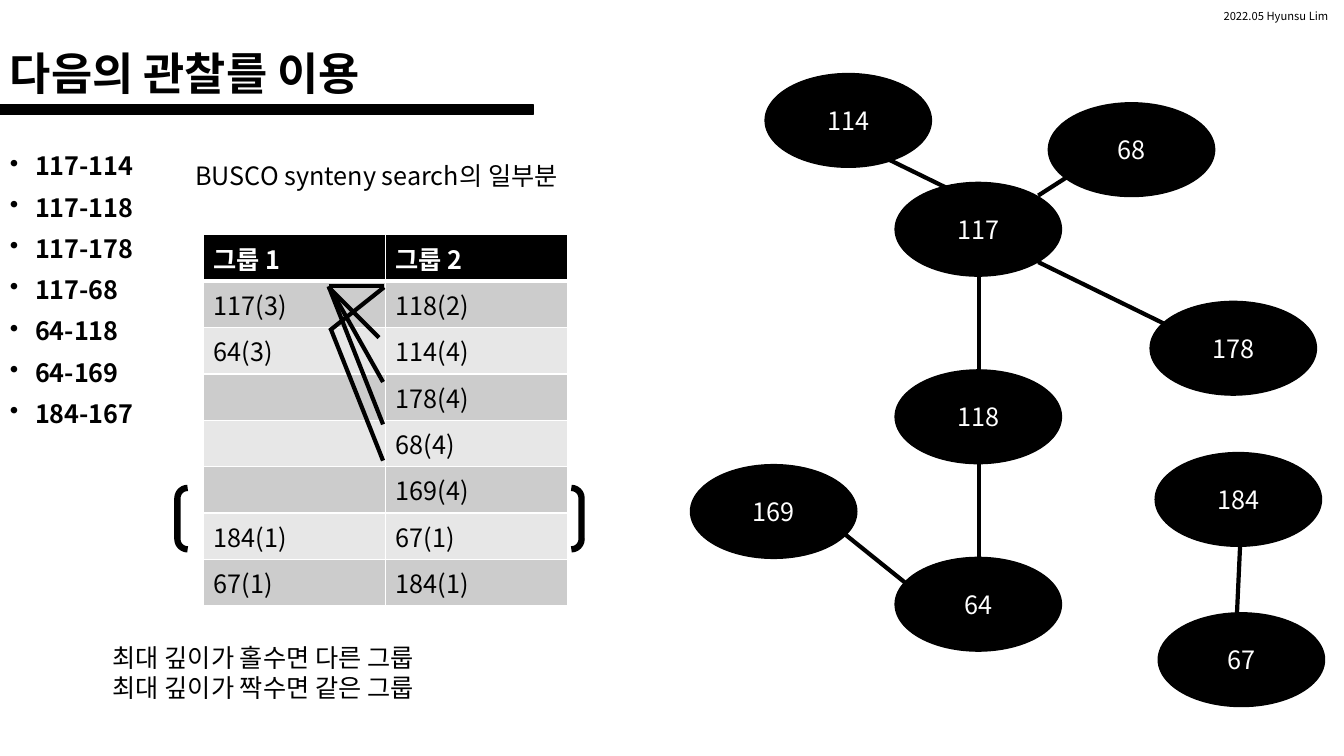
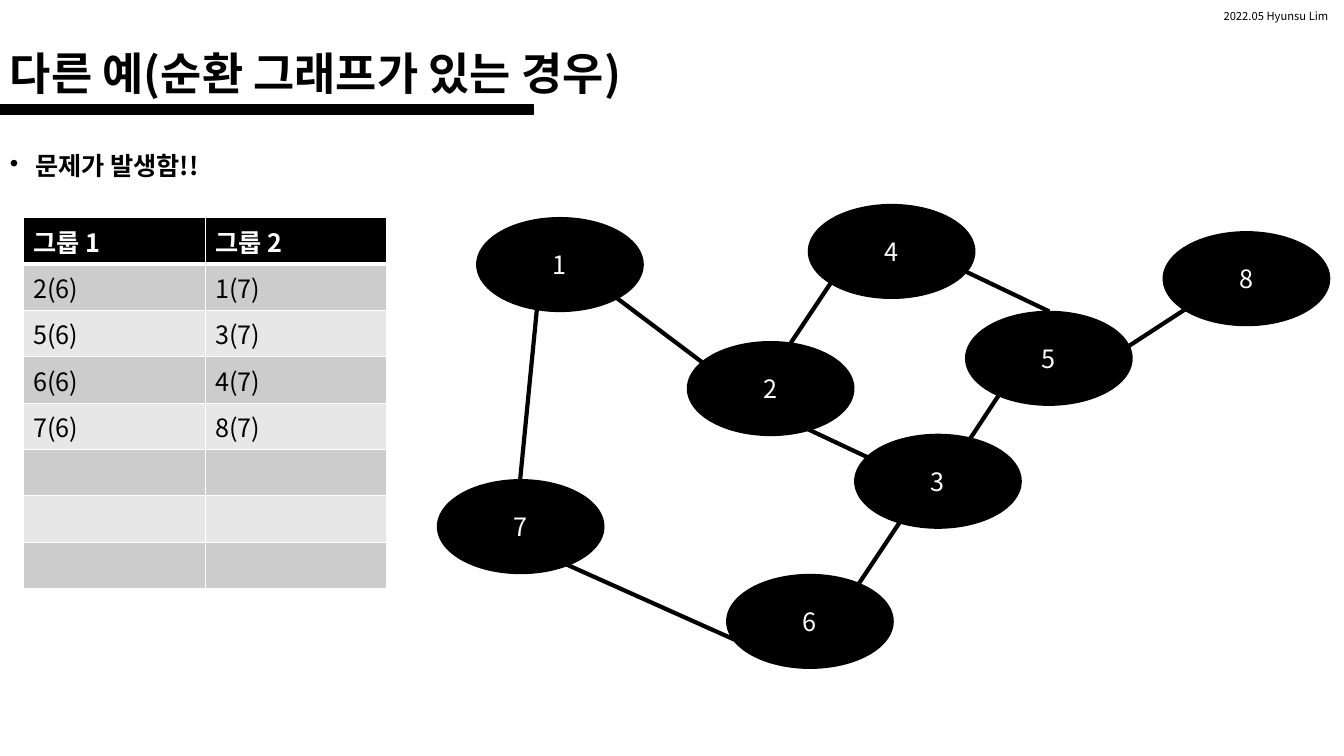
from lxml.etree import SubElement
from pptx import Presentation
from pptx.dml.color import RGBColor
from pptx.enum.shapes import MSO_CONNECTOR, MSO_SHAPE
from pptx.enum.text import MSO_ANCHOR, MSO_AUTO_SIZE, PP_ALIGN
from pptx.oxml import parse_xml
from pptx.oxml.ns import nsdecls, qn
from pptx.util import Inches, Pt

FONT = "Noto Sans CJK KR"
COLORS = {
    "ink": "000000",
    "paper": "FFFFFF",
    "odd_row": "CCCCCC",
    "even_row": "E7E7E7",
}

# The slide is a grid of square cells, a tenth of an inch each
COLS, ROWS = 133.33, 75
NODE_W, NODE_H = 16.5, 9.3
TABLE_COL, TABLE_ROW = 18.05, 4.6


def grid(*cells):
    return [Inches(n / 10) for n in cells]


def color(name):
    return RGBColor.from_string(COLORS[name])


def style(p, size=18, ink="ink", bold=False):
    p.font.name = FONT
    p.font.size = Pt(size)
    p.font.bold = bold
    p.font.color.rgb = color(ink)
    # Korean letters follow the East Asian typeface
    SubElement(p._p.find(".//" + qn("a:defRPr")), qn("a:ea"), typeface=FONT)


def add_text(slide, box, lines, size=18, bold=False, anchor=MSO_ANCHOR.TOP,
             grow=False, spacing=None):
    tf = slide.shapes.add_textbox(*grid(*box)).text_frame
    tf.word_wrap = True
    tf.vertical_anchor = anchor
    if grow:
        tf.auto_size = MSO_AUTO_SIZE.SHAPE_TO_FIT_TEXT
    tf.text = "\n".join(lines)
    for p in tf.paragraphs:
        p.line_spacing = spacing
        style(p, size, bold=bold)
    return tf


def add_bullets(slide, lines):
    tf = add_text(slide, (0, 14.8, COLS, 52.7), lines, bold=True, spacing=0.9)
    for p in tf.paragraphs:
        p.space_before = Pt(10)
        pPr = p._p.get_or_add_pPr()
        pPr.set("marL", str(Inches(0.25)))
        pPr.set("indent", str(-Inches(0.25)))
        bullet = parse_xml(f'<a:buChar {nsdecls("a")} char="•"/>')
        pPr.find(qn("a:defRPr")).addprevious(bullet)


def add_solid(slide, kind, box):
    sp = slide.shapes.add_shape(kind, *grid(*box))
    sp.shadow.inherit = False
    sp.fill.solid()
    sp.fill.fore_color.rgb = color("ink")
    sp.line.color.rgb = color("ink")
    sp.line.width = Pt(1)
    return sp


def add_node(slide, label, left, top):
    sp = add_solid(slide, MSO_SHAPE.OVAL, (left, top, NODE_W, NODE_H))
    tf = sp.text_frame
    tf.vertical_anchor = MSO_ANCHOR.MIDDLE
    tf.text = label
    p = tf.paragraphs[0]
    p.alignment = PP_ALIGN.CENTER
    style(p, ink="paper")


def add_line(slide, x1, y1, x2, y2):
    line = slide.shapes.add_connector(MSO_CONNECTOR.STRAIGHT, *grid(x1, y1, x2, y2))
    line.line.color.rgb = color("ink")
    line.line.width = Pt(3)
    SubElement(line._element.spPr, qn("a:effectLst"))


def add_graph(slide, nodes, edges):
    for edge in edges:
        add_line(slide, *edge)
    for label, place in nodes.items():
        add_node(slide, label, *place)


def add_bracket(slide, box):
    sp = slide.shapes.add_shape(MSO_SHAPE.DOUBLE_BRACKET, *grid(*box))
    sp.shadow.inherit = False
    sp.fill.background()
    sp.line.color.rgb = color("ink")
    sp.line.width = Pt(4.5)


def set_borders(cell, **widths):
    """Draw white borders; the widths are in points, by side (L, R, T, B)."""
    tcPr = cell._tc.get_or_add_tcPr()
    for i, (side, width) in enumerate(widths.items()):
        tcPr.insert(i, parse_xml(
            f'<a:ln{side} {nsdecls("a")} w="{Pt(width)}"><a:solidFill>'
            f'<a:srgbClr val="{COLORS["paper"]}"/></a:solidFill></a:ln{side}>'))


def add_groups(slide, left, top, rows):
    """Add the table of the two groups, under its header row."""
    rows = [("그룹 1", "그룹 2"), *rows]
    size = grid(left, top, 2 * TABLE_COL, len(rows) * TABLE_ROW)
    table = slide.shapes.add_table(len(rows), 2, *size).table
    for i, row in enumerate(rows):
        head = i == 0
        fill = "ink" if head else "odd_row" if i % 2 else "even_row"
        for j, text in enumerate(row):
            cell = table.cell(i, j)
            cell.text = text
            style(cell.text_frame.paragraphs[0], ink="paper" if head else "ink", bold=head)
            cell.fill.solid()
            cell.fill.fore_color.rgb = color(fill)
            set_borders(cell, L=1, R=1, T=3 if i == 1 else 1, B=3 if head else 1)


def add_slide(prs, title, bullets):
    slide = prs.slides.add_slide(prs.slide_layouts[6])
    add_solid(slide, MSO_SHAPE.RECTANGLE, (0, 10.4, 52.9, 0.9))
    add_text(slide, (120.4, 0.4, 13, 3.7), ["2022.05 Hyunsu Lim"], size=8, grow=True)
    add_text(slide, (0, 0.3, COLS, 14.5), [title], size=32, bold=True,
             anchor=MSO_ANCHOR.MIDDLE, spacing=0.9)
    add_bullets(slide, bullets)
    return slide


def add_observation(prs):
    slide = add_slide(prs, "다음의 관찰를 이용", [
        "117-114", "117-118", "117-178", "117-68", "64-118", "64-169", "184-167"])
    trunk = 88.8
    add_graph(slide, {
        "117": (trunk, 18.1),
        "118": (trunk, 36.7),
        "64": (trunk, 55.3),
        "178": (114.1, 29.9),
        "68": (104, 10.2),
        "114": (75.9, 7.3),
        "169": (68.5, 46.1),
        "67": (114.9, 60.8),
        "184": (114.6, 44.9),
    }, [
        (103, 26, 116.9, 32.8),
        (83.2, 13.4, 97.1, 20.2),
        (108.3, 16, 103, 19.4),
        (97.1, 27.4, 97.1, 36.7),
        (97.1, 45.9, 97.1, 55.3),
        (83.2, 52.5, 92.4, 59.9),
        (123.1, 52.5, 122.7, 61.2),
    ])
    add_groups(slide, 20.2, 23.3, [
        ("117(3)", "118(2)"),
        ("64(3)", "114(4)"),
        ("", "178(4)"),
        ("", "68(4)"),
        ("", "169(4)"),
        ("184(1)", "67(1)"),
        ("67(1)", "184(1)"),
    ])
    add_bracket(slide, (17.6, 48.4, 40.1, 6.1))
    for link in [
        (32.6, 28.4, 38.1, 28.4),
        (32.6, 28.5, 37.6, 33.5),
        (32.7, 28.5, 38, 37.9),
        (32.6, 28.4, 38, 42.1),
        (32.7, 32.8, 38.1, 28.5),
        (32.8, 32.6, 38, 45.7),
    ]:
        add_line(slide, *link)
    add_text(slide, (10.2, 63.2, 58.6, 7.1), [
        "최대 깊이가 홀수면 다른 그룹", "최대 깊이가 짝수면 같은 그룹"], grow=True)
    add_text(slide, (18.4, 15.4, 38.9, 4), ["BUSCO synteny search의 일부분"], grow=True)


def add_cycle(prs):
    slide = add_slide(prs, "다른 예(순환 그래프가 있는 경우)", ["문제가 발생함!!"])
    add_graph(slide, {
        "1": (47.3, 21.6),
        "2": (68.2, 33.9),
        "3": (84.8, 43.1),
        "4": (80.2, 20.3),
        "5": (95.8, 30.9),
        "6": (72.1, 57),
        "7": (43.4, 47.6),
        "8": (115.4, 23),
    }, [
        (59.9, 28.6, 70, 36.2),
        (53.3, 30.3, 51.6, 47.6),
        (56.2, 56, 73.4, 63.7),
        (90, 50.7, 84.4, 59.1),
        (78.7, 41.9, 87.2, 45.9),
        (82.6, 27.8, 77.8, 35),
        (100.6, 36.9, 95.8, 44.2),
        (95.3, 26.7, 104.1, 30.9),
        (119.1, 29.7, 110.8, 35.1),
    ])
    add_groups(slide, 2.3, 21.6, [
        ("2(6)", "1(7)"),
        ("5(6)", "3(7)"),
        ("6(6)", "4(7)"),
        ("7(6)", "8(7)"),
        *[("", "")] * 3,
    ])


def main():
    prs = Presentation()
    prs.slide_width, prs.slide_height = grid(COLS, ROWS)
    add_observation(prs)
    add_cycle(prs)
    prs.save("out.pptx")


if __name__ == "__main__":
    main()
